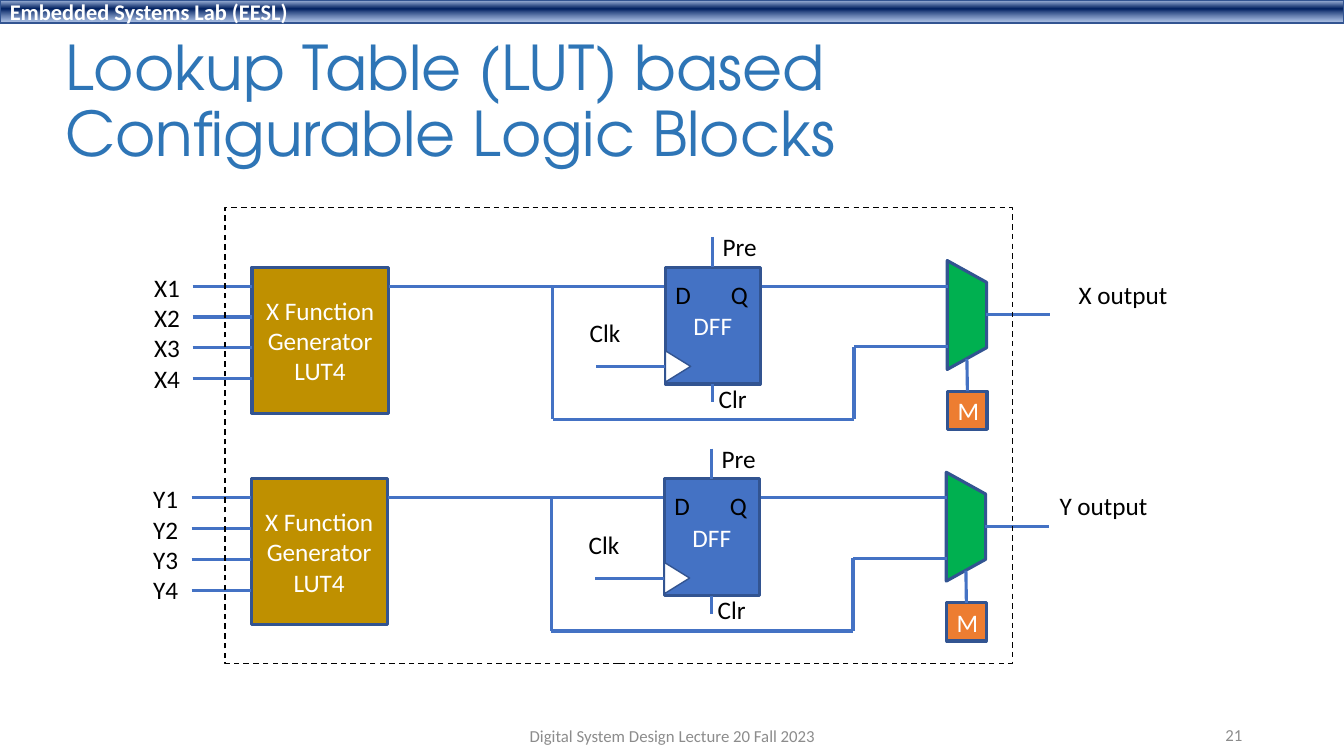
from itertools import pairwise

from lxml import etree
from pptx import Presentation
from pptx import util as u
from pptx.dml.color import RGBColor
from pptx.enum import dml, shapes, text
from pptx.oxml import parse_xml
from pptx.oxml.ns import nsdecls, qn

SHAPE = shapes.MSO_SHAPE
ALIGN = text.PP_ALIGN
WIRE, OUTLINE, BLACK, WHITE, GREY = "4472C4", "325491", "000000", "FFFFFF", "8C8C8C"
INPUT_PITCH = 0.305


def colour(value):
    return RGBColor.from_string(value)


def write(frame, lines, ink, size=18, align=ALIGN.LEFT, bold=False, font="Calibri"):
    frame.text = "\n".join(lines)
    for paragraph in frame.paragraphs:
        paragraph.alignment = align
        paragraph.font.name = font
        paragraph.font.size = u.Pt(size)
        paragraph.font.bold = bold
        paragraph.font.color.rgb = colour(ink)


def block(slide, kind, box, fill=None, lines=(), outline=OUTLINE, weight=2.25, turn=0):
    part = slide.shapes.add_shape(kind, *map(u.Inches, box))
    part.shadow.inherit = False
    part.rotation = turn
    if fill:
        part.fill.solid()
        part.fill.fore_color.rgb = colour(fill)
    else:
        part.fill.background()
    part.line.color.rgb = colour(outline)
    part.line.width = u.Pt(weight)
    if lines:
        part.text_frame.vertical_anchor = text.MSO_ANCHOR.MIDDLE
        write(part.text_frame, lines, WHITE, align=ALIGN.CENTER)
    return part


def label(slide, box, lines, ink=BLACK, wrap=False, anchor=text.MSO_ANCHOR.TOP, **style):
    frame = slide.shapes.add_textbox(*map(u.Inches, box)).text_frame
    frame.word_wrap = wrap
    frame.vertical_anchor = anchor
    write(frame, lines, ink, **style)
    return frame


def wire(slide, start, end):
    line = slide.shapes.add_connector(
        shapes.MSO_CONNECTOR.STRAIGHT, *map(u.Inches, (*start, *end)))
    line.line.color.rgb = colour(WIRE)
    line.line.width = u.Pt(2.25)
    etree.SubElement(line._element.spPr, qn("a:effectLst"))
    return line


def lab_band(slide, box):
    band = block(slide, SHAPE.RECTANGLE, box, weight=1)
    band.text_frame.vertical_anchor = text.MSO_ANCHOR.MIDDLE
    write(band.text_frame, ["Embedded Systems Lab (EESL)"], WHITE, size=16, bold=True)
    # Three-stop gradient, the last stop partly transparent
    gradient = parse_xml(
        f'<a:gradFill {nsdecls("a")} rotWithShape="1"><a:gsLst>'
        '<a:gs pos="2000"><a:srgbClr val="ABC0E4"/></a:gs>'
        '<a:gs pos="38000"><a:srgbClr val="002060"/></a:gs>'
        '<a:gs pos="93000"><a:srgbClr val="7E9ED6"><a:alpha val="64000"/></a:srgbClr></a:gs>'
        '</a:gsLst><a:lin ang="5400000" scaled="0"/></a:gradFill>')
    properties = band._element.spPr
    properties.replace(properties.find(qn("a:noFill")), gradient)


def heading(slide, box):
    title = slide.shapes.title
    title.left, title.top, title.width, title.height = map(u.Inches, box)
    frame = title.text_frame
    frame.auto_size = text.MSO_AUTO_SIZE.NONE
    frame.word_wrap = True
    frame.vertical_anchor = text.MSO_ANCHOR.MIDDLE
    write(frame, ["Lookup Table (LUT) based Configurable Logic Blocks"], "2E75B6",
          size=44, font="TeX Gyre Adventor")
    frame.paragraphs[0].line_spacing = 0.9


def flip_flop(slide, x, y):
    dff = block(slide, SHAPE.RECTANGLE, (x, y, 0.94, 1.16), WIRE, ["DFF"])

    # D and Q pins share one line, Q on a tab stop
    pins = label(slide, (x, y + 0.07, 0.93, 0.4), ["D\tQ"], wrap=True)
    pins.margin_right = 0
    properties = pins.paragraphs[0]._p.get_or_add_pPr()
    properties.insert(0, parse_xml(
        f'<a:tabLst {nsdecls("a")}><a:tab pos="{u.Inches(0.55)}" algn="l"/></a:tabLst>'))

    # Clock
    block(slide, SHAPE.ISOSCELES_TRIANGLE, (x - 0.03, y + 0.86, 0.31, 0.25), WHITE,
          weight=1, turn=90)
    wire(slide, (x, y + 0.99), (x - 0.69, y + 0.99))
    label(slide, (x - 0.85, y + 0.45, 0.51, 0.4), ["Clk"])

    # Preset and clear
    middle = x + 0.47
    wire(slide, (middle, y - 0.3), (middle, y)).end_connect(dff, 0)
    wire(slide, (middle, y + 1.16), (middle, y + 1.34)).begin_connect(dff, 2)
    label(slide, (middle, y - 0.4, 0.54, 0.4), ["Pre"])
    label(slide, (middle - 0.04, y + 1.1, 0.48, 0.4), ["Clr"])


def logic_block(slide, x, y, letter, output_x):
    # Function generator and its inputs
    block(slide, SHAPE.RECTANGLE, (x, y, 1.35, 1.45), "BF9000",
          ["X Function Generator", "LUT4"])
    signal_y = y + 0.19
    for i in range(4):
        input_y = signal_y + i * INPUT_PITCH
        wire(slide, (x - 0.59, input_y), (x, input_y))
    label(slide, (x - 1.07, y, 0.46, 1.31), [f"{letter}{i}" for i in range(1, 5)])

    # Multiplexer with its memory cell
    block(slide, SHAPE.FLOWCHART_MANUAL_OPERATION, (x + 6.55, y + 0.28, 1.08, 0.39),
          "00B050", turn=270)
    memory = block(slide, SHAPE.RECTANGLE, (x + 6.9, y + 1.23, 0.39, 0.38), "ED7D31", ["M"])
    wire(slide, (x + 7.09, y + 0.91), (x + 7.09, y + 1.23)).end_connect(memory, 0)

    # Registered path, bypass path and output
    wire(slide, (x + 1.36, signal_y), (x + 4.1, signal_y))
    wire(slide, (x + 5.04, signal_y), (x + 6.9, signal_y))
    bypass = [(2.98, 0.19), (2.98, 1.51), (5.97, 1.51), (5.97, 0.79), (6.9, 0.79)]
    for start, end in pairwise((x + dx, y + dy) for dx, dy in bypass):
        wire(slide, start, end)
    wire(slide, (x + 7.28, y + 0.47), (x + 7.91, y + 0.47))
    label(slide, (output_x, y + 0.07, 1.09, 0.4), [f"{letter} output"])

    flip_flop(slide, x + 4.1, y)


def footer(slide, y):
    style = dict(ink=GREY, size=12, wrap=True, anchor=text.MSO_ANCHOR.MIDDLE)
    label(slide, (4.42, y + 0.01, 4.5, 0.4), ["Digital System Design Lecture 20 Fall 2023"],
          align=ALIGN.CENTER, **style)
    label(slide, (9.42, y, 3, 0.4), ["21"], align=ALIGN.RIGHT, **style)


def main():
    deck = Presentation()
    deck.slide_width, deck.slide_height = u.Inches(13.33), u.Inches(7.5)
    slide = deck.slides.add_slide(deck.slide_layouts[5])

    lab_band(slide, (0, 0, 13.33, 0.23))
    heading(slide, (0.55, 0.3, 11.5, 1.45))
    logic_block(slide, 2.5, 2.65, "X", 10.6)
    logic_block(slide, 2.49, 4.75, "Y", 10.41)

    # Boundary of the configurable block
    boundary = block(slide, SHAPE.RECTANGLE, (2.23, 2.06, 7.81, 4.52), outline=BLACK, weight=1)
    boundary.line.dash_style = dml.MSO_LINE.DASH
    footer(slide, 7.09)

    deck.save("out.pptx")


if __name__ == "__main__":
    main()
